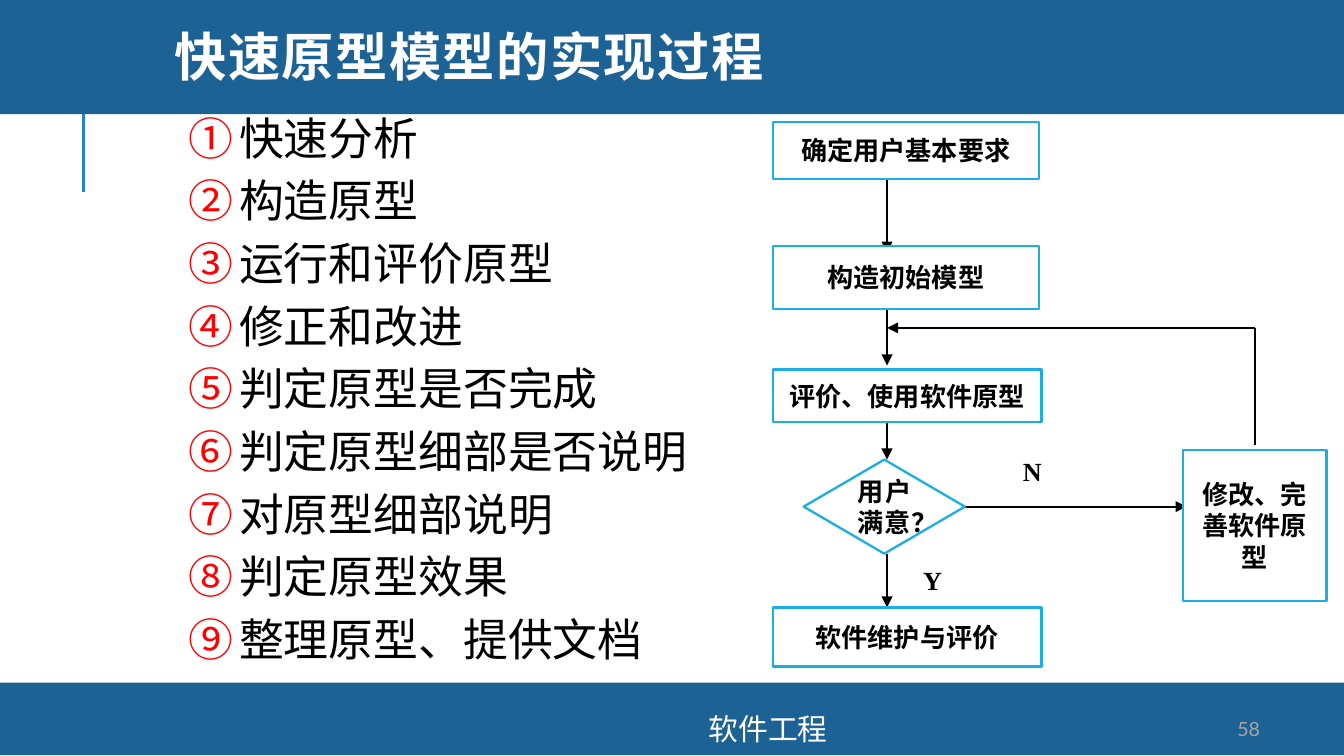
import dataclasses

import pptx
import pptx.dml.color
import pptx.enum.shapes
import pptx.enum.text
import pptx.oxml
import pptx.oxml.ns
import pptx.util

ALIGN = pptx.enum.text.PP_ALIGN
SHAPE = pptx.enum.shapes.MSO_SHAPE
BLUE, SKY, RULE = "1D6294", "1CADE4", "2683C6"
BLACK, WHITE, GREY, RED = "000000", "FFFFFF", "A6A6A6", "FF0000"
STEPS = ["快速分析", "构造原型", "运行和评价原型", "修正和改进", "判定原型是否完成",
         "判定原型细部是否说明", "对原型细部说明", "判定原型效果", "整理原型、提供文档"]


@dataclasses.dataclass
class Grid:
    """A region with its corner in inches and square cells of the given size."""
    left: float
    top: float
    cell: float

    def point(self, column, row):
        return (pptx.util.Inches(self.left + column * self.cell),
                pptx.util.Inches(self.top + row * self.cell))

    def area(self, column, row, columns, rows):
        return (*self.point(column, row), pptx.util.Inches(columns * self.cell),
                pptx.util.Inches(rows * self.cell))


def rgb(value):
    return pptx.dml.color.RGBColor.from_string(value)


def add_xml(parent, tag, content="", attributes=""):
    namespace = pptx.oxml.ns.nsdecls("a")
    element = pptx.oxml.parse_xml(f"<a:{tag} {namespace} {attributes}>{content}</a:{tag}>")
    parent.append(element)


def add_run(paragraph, text, size, font, color, bold=False):
    run = paragraph.add_run()
    run.text = text
    run.font.size = pptx.util.Pt(size)
    run.font.name = font
    run.font.bold = bold
    run.font.color.rgb = rgb(color)
    return run


def write(shape, text, size, font, color, bold=False, align=ALIGN.CENTER):
    frame = shape.text_frame
    frame.word_wrap = True
    frame.vertical_anchor = pptx.enum.text.MSO_ANCHOR.MIDDLE
    paragraph = frame.paragraphs[0]
    paragraph.alignment = align
    return add_run(paragraph, text, size, font, color, bold)


def add_label(slide, area, *style):
    write(slide.shapes.add_textbox(*area), *style)


def add_block(slide, area, fill, line=None, kind=SHAPE.RECTANGLE):
    shape = slide.shapes.add_shape(kind, *area)
    shape.shadow.inherit = False
    shape.fill.solid()
    shape.fill.fore_color.rgb = rgb(fill)
    if line:
        shape.line.color.rgb = rgb(line)
        shape.line.width = pptx.util.Pt(1.25)
    else:
        shape.line.fill.background()
    return shape


def add_line(slide, start, end, color=BLACK, width=1, arrow=True):
    connector = slide.shapes.add_connector(
        pptx.enum.shapes.MSO_CONNECTOR.STRAIGHT, *start, *end)
    connector.line.color.rgb = rgb(color)
    connector.line.width = pptx.util.Pt(width)
    if arrow:
        add_xml(connector.line._get_or_add_ln(), "tailEnd", attributes='type="triangle"')
    add_xml(connector._element.spPr, "effectLst")


def add_frame(slide, page):
    add_line(slide, page.point(0.62, 1.43), page.point(0.62, 0.68), RULE, 1.5, False)
    add_block(slide, page.area(0, 5.08, 10, 0.54), BLUE)
    add_block(slide, page.area(0, -0.03, 10, 0.88), BLUE)
    add_label(slide, page.area(8.89, 5.31, 0.8, 0.23), "58", 10.5, "Lato", GREY)
    add_label(slide, page.area(2.61, 5.31, 6.21, 0.23), "软件工程", 16, "Arial", WHITE)


def move_to_front(slide, shape, area):
    shape.left, shape.top, shape.width, shape.height = area
    slide.shapes._spTree.append(shape._element)


def add_title(slide, area):
    title = slide.shapes.title
    move_to_front(slide, title, area)
    run = write(title, "快速原型模型的实现过程", 28, "Montserrat", WHITE, True, ALIGN.LEFT)
    run.font._element.set("spc", "80")
    title.text_frame.paragraphs[0].line_spacing = 0.8


def add_steps(slide, area):
    body = slide.placeholders[1]
    move_to_front(slide, body, area)
    frame = body.text_frame
    frame.word_wrap = True
    frame.auto_size = pptx.enum.text.MSO_AUTO_SIZE.NONE
    indent = pptx.util.Inches(0.38)
    for index, step in enumerate(STEPS):
        paragraph = frame.add_paragraph() if index else frame.paragraphs[0]
        properties = paragraph._p.get_or_add_pPr()
        properties.set("marL", str(indent))
        properties.set("indent", str(-indent))
        if index == 0:
            paragraph.space_before = pptx.util.Pt(0)
        else:
            add_xml(properties, "spcBef", '<a:spcPct val="20000"/>')
        add_xml(properties, "buClr", f'<a:srgbClr val="{RED}"/>')
        add_xml(properties, "buAutoNum", attributes='type="circleNumDbPlain"')
        add_run(paragraph, step, 24, "Arial", BLACK)


def add_flowchart(slide, grid):
    style = (14, "Times New Roman", BLACK, True)
    spine, side, loop, branch = 21.25, 89.75, 38.25, 71.5

    for top, bottom in [(10.5, 24.25), (34.75, 45.25), (52.25, 62.75), (80.25, 90.25)]:
        add_line(slide, grid.point(spine, top), grid.point(spine, bottom))
    add_line(slide, grid.point(35.5, branch), grid.point(77, branch))
    add_line(slide, grid.point(side, 60), grid.point(side, loop), arrow=False)
    add_line(slide, grid.point(side, loop), grid.point(spine, loop))

    decision = add_block(slide, grid.area(5.75, 62.75, 30, 17.5), WHITE, SKY,
                         SHAPE.FLOWCHART_DECISION)
    write(decision, "用户满意？", *style, ALIGN.JUSTIFY)
    for text, *cells in [("确定用户基本要求", 0, 0, 49.5, 10.5),
                         ("构造初始模型", 0, 23, 49.5, 11.75),
                         ("评价、使用软件原型", 0, 46, 50, 9.75),
                         ("软件维护与评价", 0, 90.25, 50, 11),
                         ("修改、完善软件原型", 76.25, 61, 26.75, 28)]:
        write(add_block(slide, grid.area(*cells), WHITE, SKY), text, *style)
    add_label(slide, grid.area(24.25, 80.25, 11, 9.75), "Y", *style)
    add_label(slide, grid.area(43.5, 60, 9.5, 9.75), "N", *style)


def main():
    presentation = pptx.Presentation()
    presentation.slide_width = pptx.util.Inches(10)
    presentation.slide_height = pptx.util.Inches(10 * 9 / 16)
    slide = presentation.slides.add_slide(presentation.slide_layouts[1])
    page = Grid(0, 0, 1)
    add_frame(slide, page)
    add_steps(slide, page.area(1.3, 0.77, 4.45, 4.38))
    add_title(slide, page.area(1.2, 0, 8.49, 0.91))
    add_flowchart(slide, Grid(5.75, 0.91, 0.04))
    presentation.save("out.pptx")


if __name__ == "__main__":
    main()
